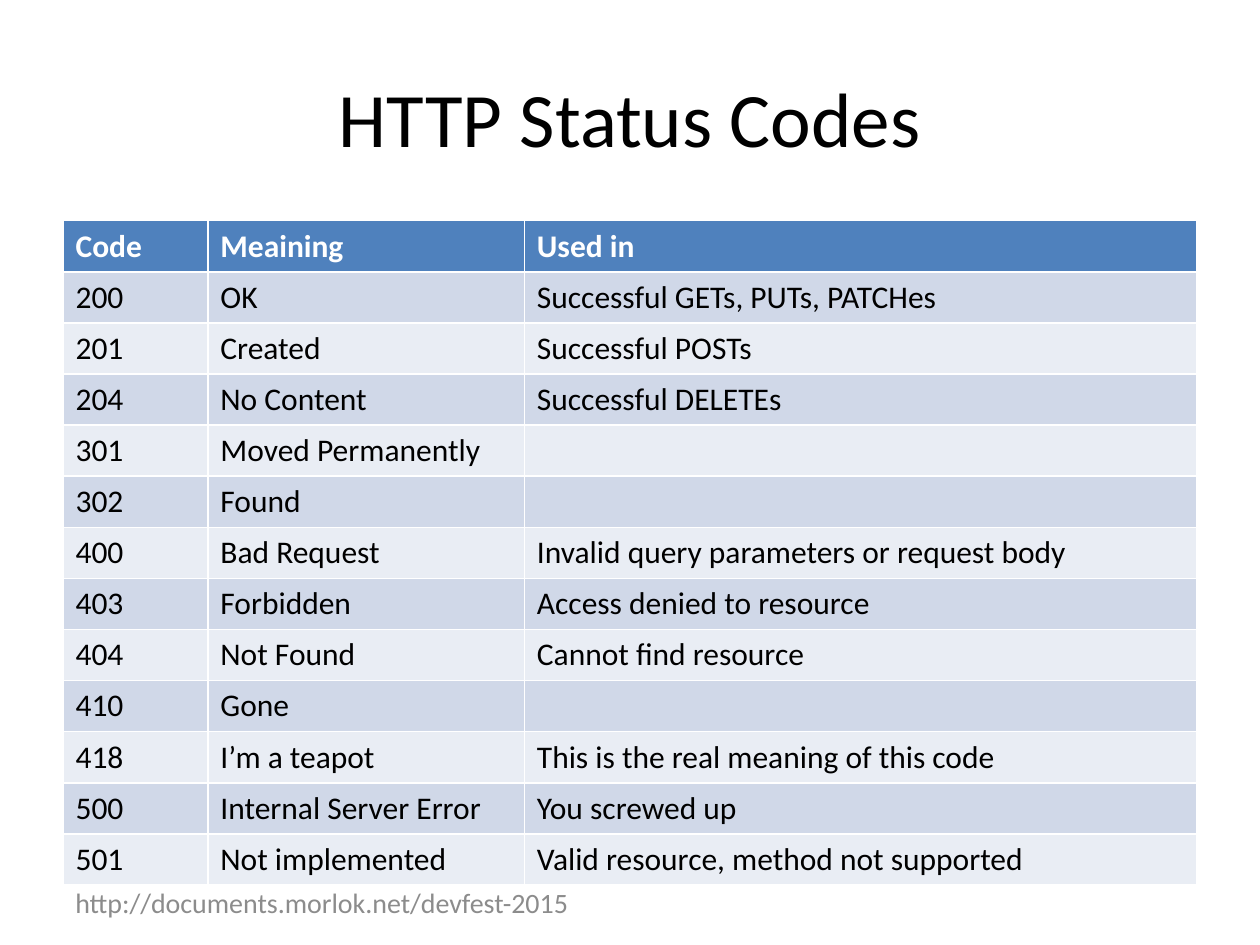
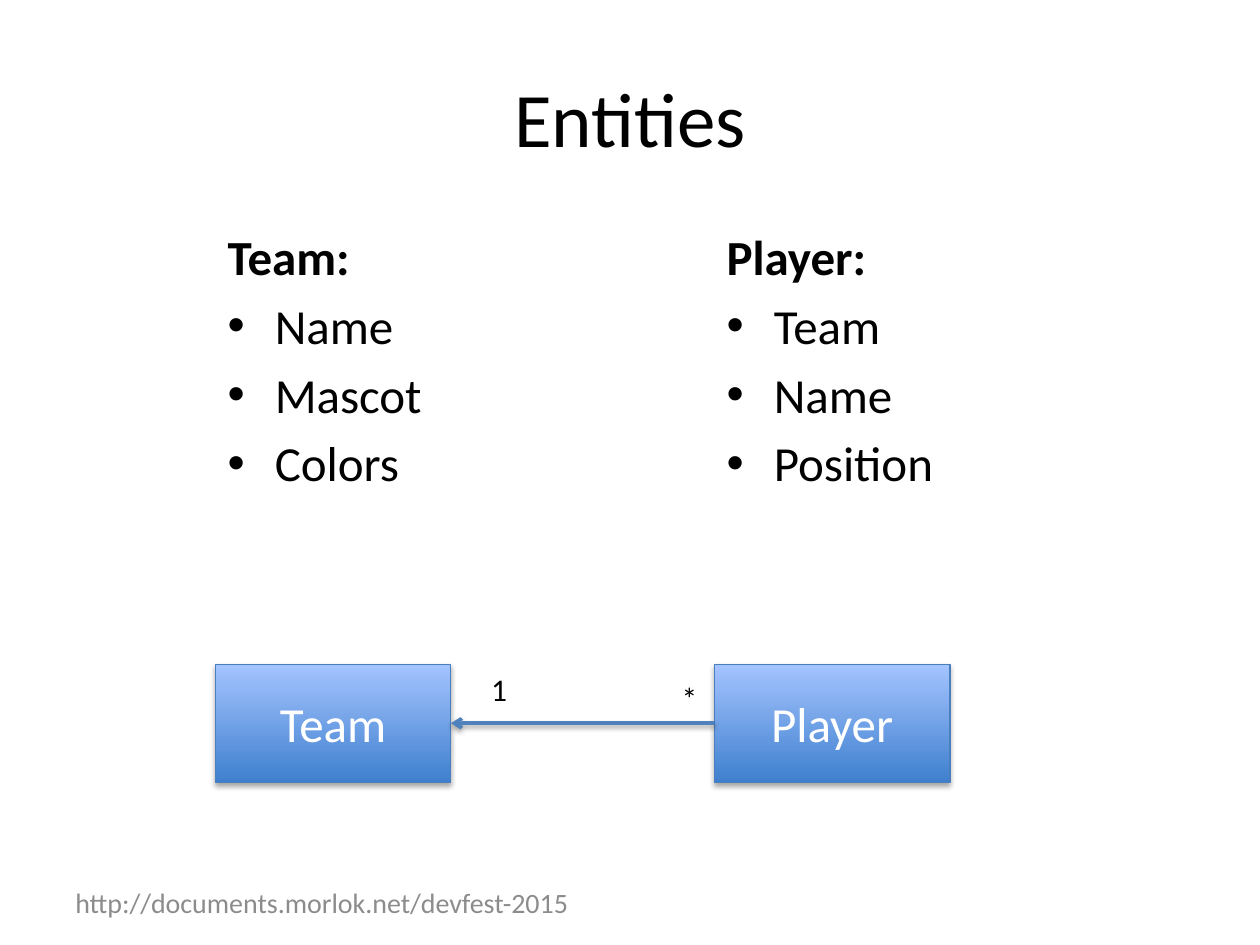
from lxml import etree
from pptx import Presentation
from pptx.dml.color import RGBColor
from pptx.enum.shapes import MSO_CONNECTOR, MSO_SHAPE
from pptx.enum.text import MSO_ANCHOR, PP_ALIGN
from pptx.oxml import parse_xml
from pptx.oxml.ns import nsdecls, qn
from pptx.util import Cm, Pt

RECT, STRAIGHT = MSO_SHAPE.RECTANGLE, MSO_CONNECTOR.STRAIGHT
TOP, MIDDLE = MSO_ANCHOR.TOP, MSO_ANCHOR.MIDDLE
LEFT, CENTER = PP_ALIGN.LEFT, PP_ALIGN.CENTER

BLACK = RGBColor(0x00, 0x00, 0x00)
WHITE = RGBColor(0xFF, 0xFF, 0xFF)
GREY = RGBColor(0x8C, 0x8C, 0x8C)
BLUE = RGBColor(0x4F, 0x81, 0xBD)
OUTLINE = RGBColor(0x4B, 0x7E, 0xBC)
GRAD_BOTTOM = RGBColor(0x3F, 0x80, 0xCE)
GRAD_TOP = RGBColor(0xA4, 0xC4, 0xFF)
BANDS = RGBColor(0xE9, 0xED, 0xF4), RGBColor(0xD0, 0xD8, 0xE8)

FOOTER = "http://documents.morlok.net/devfest-2015"
TITLE_FMT = {"size": Pt(44)}
FOOTER_FMT = {"size": Pt(16)}
BODY_FMT = {"size": Pt(28)}
SMALL_FMT = {"size": Pt(18)}


def write(tf, lines, fmt, color=BLACK, align=LEFT, anchor=TOP, wrap=True):
    """Fill a text frame, one paragraph per line."""
    tf.word_wrap, tf.vertical_anchor = wrap, anchor
    for i, line in enumerate(lines):
        p = tf.paragraphs[0] if i == 0 else tf.add_paragraph()
        p.alignment = align
        r = p.add_run()
        r.text = line
        for name, value in {"name": "Calibri", "bold": False, **fmt}.items():
            setattr(r.font, name, value)
        r.font.color.rgb = color


def add_shadow(sp, dist, alpha):
    """Give a shape or connector a soft shadow straight below it."""
    sp._element.spPr.append(parse_xml(
        f'<a:effectLst {nsdecls("a")}><a:outerShdw blurRad="{Pt(3.1)}" '
        f'dist="{Pt(dist)}" dir="5400000" rotWithShape="0">'
        f'<a:srgbClr val="000000"><a:alpha val="{alpha * 1000}"/></a:srgbClr>'
        '</a:outerShdw></a:effectLst>'))


prs = Presentation()
prs.slide_width, prs.slide_height = Cm(25.4), Cm(19.05)

# Title and footer on both slides
slides = []
for title in ("HTTP Status Codes", "Entities"):
    s = prs.slides.add_slide(prs.slide_layouts[6])
    sp = s.shapes.add_textbox(Cm(1.27), Cm(17.68), Cm(12.3), Cm(1.02))
    write(sp.text_frame, [FOOTER], FOOTER_FMT, GREY, anchor=MIDDLE)
    sp = s.shapes.add_textbox(Cm(1.27), Cm(0.76), Cm(22.86), Cm(3.18))
    write(sp.text_frame, [title], TITLE_FMT, align=CENTER, anchor=MIDDLE)
    slides.append(s)

# Slide 1: status code table
rows = [
    ("Code", "Meaining", "Used in"),
    ("200", "OK", "Successful GETs, PUTs, PATCHes"),
    ("201", "Created", "Successful POSTs"),
    ("204", "No Content", "Successful DELETEs"),
    ("301", "Moved Permanently", ""),
    ("302", "Found", ""),
    ("400", "Bad Request", "Invalid query parameters or request body"),
    ("403", "Forbidden", "Access denied to resource"),
    ("404", "Not Found", "Cannot find resource"),
    ("410", "Gone", ""),
    ("418", "I’m a teapot", "This is the real meaning of this code"),
    ("500", "Internal Server Error", "You screwed up"),
    ("501", "Not implemented", "Valid resource, method not supported"),
]
table = slides[0].shapes.add_table(len(rows), 3, Cm(1.27), Cm(4.45),
                                   Cm(22.86), Cm(1.03 * len(rows))).table
for col, width in zip(table.columns, (2.92, 6.38, 13.56)):
    col.width = Cm(width)
for i, row in enumerate(rows):
    table.rows[i].height = Cm(1.03)
    header = i == 0
    for j, value in enumerate(row):
        cell = table.cell(i, j)
        cell.fill.solid()
        cell.fill.fore_color.rgb = BLUE if header else BANDS[i % 2]
        if value:
            write(cell.text_frame, [value], {**SMALL_FMT, "bold": header},
                  WHITE if header else BLACK)

# Slide 2: entity lists, each above its box
s = slides[1]
BOX_W, BOX_H, BOX_Y = 4.75, 2.38, 13.39
TEAM_X, PLAYER_X = 4.34, 14.4
entities = [
    (TEAM_X, 7.67, "Team", ["Name", "Mascot", "Colors"]),
    (PLAYER_X, 6.71, "Player", ["Team", "Name", "Position"]),
]
for x, width, name, fields in entities:
    tf = s.shapes.add_textbox(Cm(x), Cm(4.45), Cm(width), Cm(6.3)).text_frame
    write(tf, [name + ":"] + fields, BODY_FMT)
    tf.paragraphs[0].runs[0].font.bold = True
    for p in tf.paragraphs:
        p.space_before = Pt(5.6)
    for p in tf.paragraphs[1:]:
        pPr = p._p.get_or_add_pPr()
        pPr.set("marL", str(Cm(0.95)))
        pPr.set("indent", str(-Cm(0.95)))
        etree.SubElement(pPr, qn("a:buFont"), typeface="Arial")
        etree.SubElement(pPr, qn("a:buChar"), char="•")

    sp = s.shapes.add_shape(RECT, Cm(x), Cm(BOX_Y), Cm(BOX_W), Cm(BOX_H))
    sp.fill.gradient()
    sp.fill.gradient_angle = 90
    for stop, pos, color in zip(sp.fill.gradient_stops, (0, 1),
                                (GRAD_BOTTOM, GRAD_TOP)):
        stop.position, stop.color.rgb = pos, color
    sp.line.color.rgb, sp.line.width = OUTLINE, Pt(0.75)
    add_shadow(sp, 1.8, 35)
    write(sp.text_frame, [name], BODY_FMT, WHITE, CENTER, MIDDLE)

# Arrow from Player to Team
y = Cm(BOX_Y + BOX_H / 2)
cx = s.shapes.add_connector(STRAIGHT, Cm(PLAYER_X), y, Cm(TEAM_X + BOX_W), y)
cx.line.color.rgb, cx.line.width = BLUE, Pt(2)
etree.SubElement(cx.line._get_or_add_ln(), qn("a:tailEnd"), type="arrow")
add_shadow(cx, 1.6, 38)

# Multiplicities
for x, y, label in ((13.49, 13.56, "*"), (9.65, 13.39, "1")):
    sp = s.shapes.add_textbox(Cm(x), Cm(y), Cm(0.84), Cm(1.02))
    write(sp.text_frame, [label], SMALL_FMT, wrap=False)

prs.save("out.pptx")
